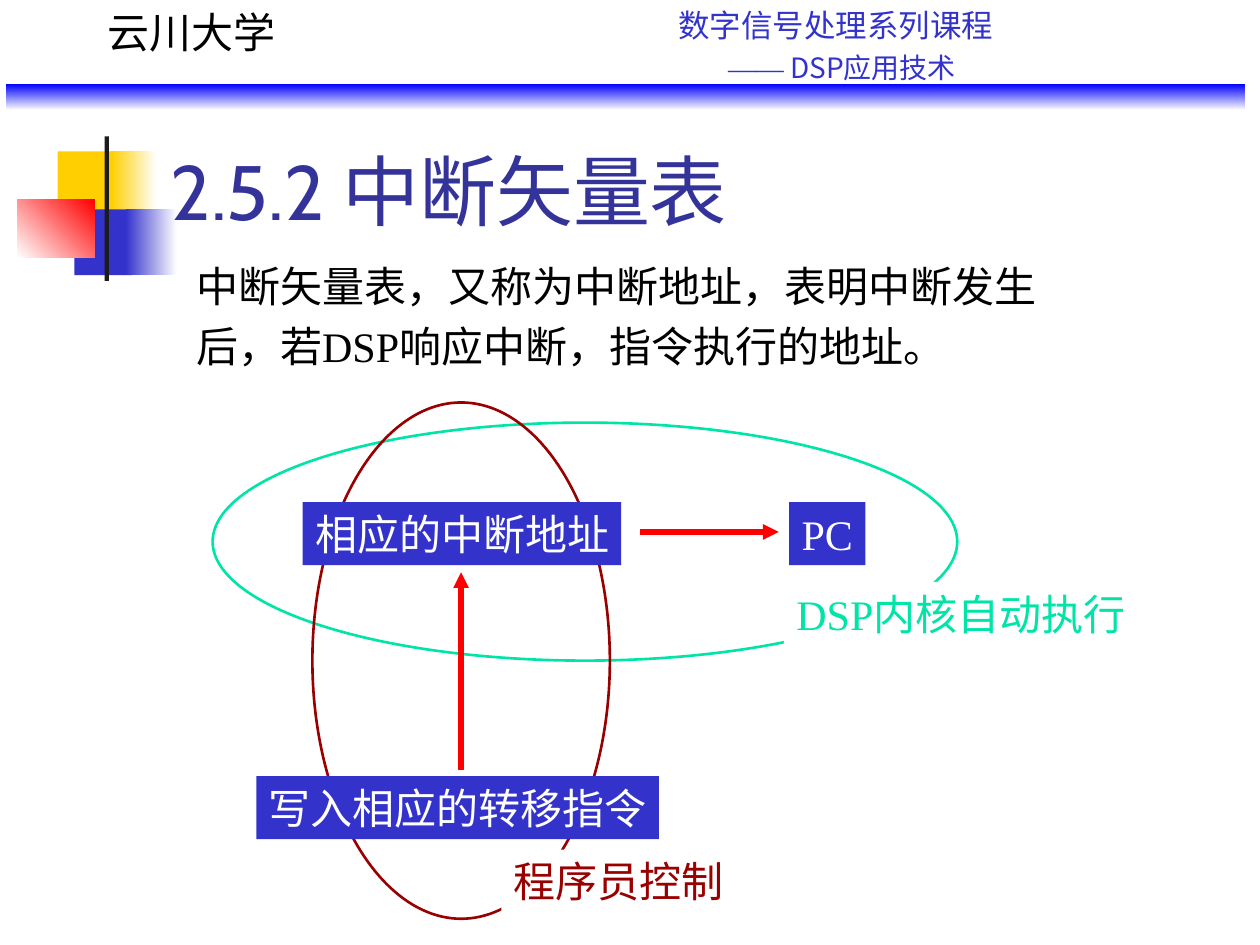
from lxml.etree import SubElement
from pptx import Presentation
from pptx.dml.color import RGBColor
from pptx.enum.shapes import MSO_CONNECTOR, MSO_SHAPE
from pptx.enum.text import MSO_ANCHOR, PP_ALIGN
from pptx.oxml.ns import qn
from pptx.util import Pt

BLUE, YELLOW, RED, WHITE = "3333CC", "FFCF01", "FF0000", "FFFFFF"
GREEN, MAROON, BLACK = "00E4A8", "990000", "000000"
SERIF, SANS, CJK = "Times New Roman", "Cabin", "Noto Sans CJK SC"


def color(hex_string):
    return RGBColor.from_string(hex_string)


def add_block(slide, box, fill=None, end=None, angle=0, kind=MSO_SHAPE.RECTANGLE):
    """Add a borderless shape; with an end colour it fades clockwise by angle."""
    block = slide.shapes.add_shape(kind, *map(Pt, box))
    block.shadow.inherit = False
    block.line.fill.background()
    if end:
        block.fill.gradient()
        block.fill.gradient_angle = (360 - angle) % 360
        for stop, shade in zip(block.fill.gradient_stops, (fill, end)):
            stop.color.rgb = color(shade)
    elif fill:
        block.fill.solid()
        block.fill.fore_color.rgb = color(fill)
    else:
        block.fill.background()
    return block


def add_ellipse(slide, box, line):
    ellipse = add_block(slide, box, kind=MSO_SHAPE.OVAL)
    ellipse.line.color.rgb = color(line)
    ellipse.line.width = Pt(1.5)


def format_paragraph(paragraph, size, shade, font=SERIF, before=6):
    paragraph.alignment = PP_ALIGN.LEFT
    paragraph.space_before = Pt(before)
    for run in paragraph.runs:
        run.font.size = Pt(size)
        run.font.name = font
        run.font.color.rgb = color(shade)
        SubElement(run.font._element, qn("a:ea"), typeface=CJK)


def add_text(slide, box, text, size, shade, font=SERIF, before=6):
    frame = slide.shapes.add_textbox(*map(Pt, box)).text_frame
    frame.word_wrap = True
    frame.text = text
    format_paragraph(frame.paragraphs[0], size, shade, font, before)
    return frame


def add_label(slide, box, text, fill, shade):
    frame = add_block(slide, box, fill).text_frame
    frame.word_wrap = False
    frame.vertical_anchor = MSO_ANCHOR.TOP
    frame.text = text
    format_paragraph(frame.paragraphs[0], 24, shade)


def add_arrow(slide, start, end):
    arrow = slide.shapes.add_connector(MSO_CONNECTOR.STRAIGHT, *map(Pt, start + end))
    arrow.line.color.rgb = color(RED)
    arrow.line.width = Pt(3)
    SubElement(arrow.line._get_or_add_ln(), qn("a:tailEnd"), type="triangle")
    SubElement(arrow._element.spPr, qn("a:effectLst"))


def add_ornament(slide):
    add_block(slide, (33, 86.5, 34.5, 37.5), YELLOW)
    add_block(slide, (63.5, 86.5, 26, 37.5), YELLOW, WHITE)
    add_block(slide, (42.5, 119.7, 33, 37.5), BLUE)
    add_block(slide, (72, 119.7, 29, 37.5), BLUE, WHITE)
    add_block(slide, (10, 114, 44, 33), WHITE, RED, 315)
    add_block(slide, (59.8, 78, 2.5, 82.5), "1C1C1C")


def add_header(slide):
    course = add_text(slide, (380.5, 0, 313, 60), "数字信号处理系列课程", 18, BLUE, CJK, 4.5)
    subtitle = course.add_paragraph()
    subtitle.text = "——"
    subtitle.add_run().text = " DSP应用技术"
    format_paragraph(subtitle, 16, BLUE, CJK, 4)
    subtitle.runs[0].font.name = SERIF
    subtitle._p.get_or_add_pPr().set("marL", str(Pt(28.5)))
    add_block(slide, (3.5, 48, 708, 15), "0000FF", WHITE, 90)
    add_text(slide, (54.5, 0, 140, 36), "云川大学", 24, BLACK)


def main():
    deck = Presentation()
    deck.slide_width, deck.slide_height = Pt(720), Pt(540)
    slide = deck.slides.add_slide(deck.slide_layouts[6])

    # Course header and ornament
    add_ornament(slide)
    add_header(slide)

    # Scopes: what the core does, what the programmer controls
    add_ellipse(slide, (121.5, 241.5, 425.5, 136), GREEN)
    add_ellipse(slide, (178.5, 230, 170, 295), MAROON)

    # Title and definition
    title = add_text(slide, (90.5, 48.5, 613.5, 90), "2.5.2 中断矢量表", 44, "333399", SANS, 0)
    title.vertical_anchor = MSO_ANCHOR.BOTTOM
    definition = add_text(slide, (105, 139.5, 510, 76.5),
                          "中断矢量表，又称为中断地址，表明中断发生后，若DSP响应中断，指令执行的地址。",
                          24, BLACK)
    definition.paragraphs[0].line_spacing = 1.2

    # Steps, scope names and arrows
    add_label(slide, (173, 287, 182, 36), "相应的中断地址", BLUE, WHITE)
    add_arrow(slide, (365.5, 304), (445, 304))
    add_label(slide, (451, 287, 43.5, 36), "PC", BLUE, WHITE)
    add_label(slide, (448, 332.5, 208, 36), "DSP内核自动执行", WHITE, GREEN)
    add_label(slide, (146.5, 443.5, 230, 36), "写入相应的转移指令", BLUE, WHITE)
    add_arrow(slide, (263.5, 440), (263.5, 327))
    add_label(slide, (286.5, 485.5, 134, 36), "程序员控制", WHITE, MAROON)

    deck.save("out.pptx")


if __name__ == "__main__":
    main()
